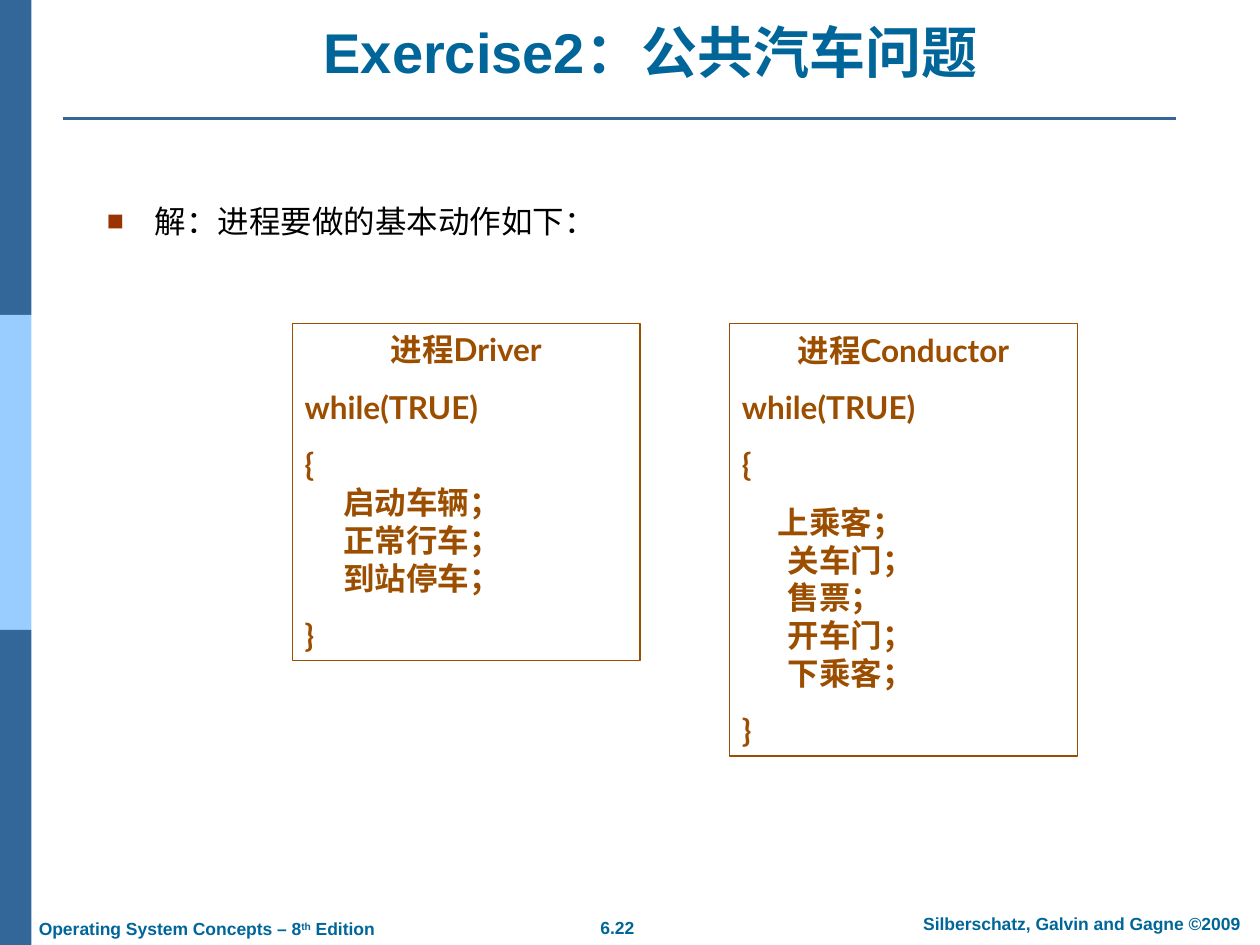
from lxml import etree
from pptx import Presentation
from pptx.dml.color import RGBColor
from pptx.enum.shapes import MSO_CONNECTOR, MSO_SHAPE
from pptx.enum.text import MSO_ANCHOR, MSO_AUTO_SIZE, PP_ALIGN
from pptx.oxml.ns import qn
from pptx.util import Inches, Pt

LEFT, CENTER = PP_ALIGN.LEFT, PP_ALIGN.CENTER
BOTTOM = MSO_ANCHOR.BOTTOM
FIXED, GROW = MSO_AUTO_SIZE.NONE, MSO_AUTO_SIZE.SHAPE_TO_FIT_TEXT
RECT, LINE = MSO_SHAPE.RECTANGLE, MSO_CONNECTOR.STRAIGHT
TEAL, NAVY, SKY, BROWN = "006699", "336699", "99CCFF", "9C4E00"

DRIVER = [
    "进程Driver",
    "while(TRUE)",
    "{\n　 启动车辆；\n　 正常行车；\n　 到站停车；",
    "}",
]
SELLER = [
    "进程Conductor",
    "while(TRUE)",
    "{",
    "     上乘客；\n　  关车门；\n  　售票；\n　  开车门；\n　  下乘客；",
    "}",
]


def paint(color, code):
    """Set a colour format from a hex string."""
    color.rgb = RGBColor.from_string(code)


def style(para, size, code, bold=True, face="Arial", align=LEFT):
    """Set the font and alignment of a paragraph."""
    para.alignment = align
    font = para.font
    font.size, font.bold, font.name = Pt(size), bold, face
    paint(font.color, code)


def add_bar(slide, top, code):
    """Add one block of the side band."""
    bar = slide.shapes.add_shape(RECT, 0, Inches(top), Inches(0.25), Inches(2.5))
    bar.shadow.inherit = False
    bar.fill.solid()
    paint(bar.fill.fore_color, code)
    bar.line.fill.background()


def add_rule(slide):
    """Add the line below the title."""
    rule = slide.shapes.add_connector(
        LINE, Inches(0.5), Inches(0.94), Inches(9.33), Inches(0.94))
    paint(rule.line.color, NAVY)
    rule.line.width = Pt(1.5)
    etree.SubElement(rule._element.spPr, qn("a:effectLst"))


def set_title(slide, text):
    """Place and fill the title."""
    title = slide.shapes.title
    title.left, title.top = Inches(0.75), Inches(0.25)
    title.width, title.height = Inches(8.83), Inches(0.47)
    frame = title.text_frame
    frame.text = text
    frame.auto_size, frame.vertical_anchor = FIXED, BOTTOM
    style(frame.paragraphs[0], 32, TEAL, align=CENTER)


def add_text(slide, left, top, width, height):
    """Add a text box and return its first paragraph."""
    box = slide.shapes.add_textbox(
        Inches(left), Inches(top), Inches(width), Inches(height))
    box.text_frame.word_wrap = True
    return box.text_frame.paragraphs[0]


def add_point(slide, text):
    """Add the bulleted line."""
    para = add_text(slide, 0.75, 1.55, 8.42, 0.71)
    para.text = text
    props = para._p.get_or_add_pPr()
    props.set("marL", str(Inches(0.38)))
    props.set("indent", str(-Inches(0.38)))
    tint = etree.SubElement(props, qn("a:buClr"))
    etree.SubElement(tint, qn("a:srgbClr"), val="993300")
    etree.SubElement(props, qn("a:buSzPct"), val="90000")
    etree.SubElement(props, qn("a:buFont"), typeface="Arial")
    etree.SubElement(props, qn("a:buChar"), char="■")
    style(para, 18, "000000", bold=False)


def add_code(slide, left, height, parts):
    """Add a framed process listing with a centred heading."""
    box = slide.shapes.add_shape(
        RECT, Inches(left), Inches(2.57), Inches(2.76), Inches(height))
    box.shadow.inherit = False
    box.fill.background()
    paint(box.line.color, BROWN)
    box.line.width = Pt(0.75)
    frame = box.text_frame
    frame.word_wrap, frame.auto_size = True, GROW
    for i, part in enumerate(parts):
        para = frame.add_paragraph() if i else frame.paragraphs[0]
        para.text = part
        if i:
            para.space_before = Pt(11.2)
        style(para, 18, BROWN, face="Lato", align=LEFT if i else CENTER)


def add_foot(slide):
    """Add the book name, page number and copyright line."""
    book = add_text(slide, 0.21, 7.24, 3.1, 0.27)
    for text in ("Operating System Concepts – 8", "th", " Edition"):
        run = book.add_run()
        run.text = text
    book.runs[1]._r.get_or_add_rPr().set("baseline", "30000")
    style(book, 10, TEAL)
    notes = (
        ("6.22", 4.41, 7.23, 0.98),
        ("Silberschatz, Galvin and Gagne ©2009", 7.1, 7.2, 2.97),
    )
    for text, left, top, width in notes:
        para = add_text(slide, left, top, width, 0.27)
        para.text = text
        style(para, 10, TEAL, align=CENTER)


def main():
    """Build and save the slide."""
    deck = Presentation()
    deck.slide_width, deck.slide_height = Inches(10), Inches(7.5)
    slide = deck.slides.add_slide(deck.slide_layouts[5])
    for i, code in enumerate((NAVY, SKY, NAVY)):
        add_bar(slide, 2.5 * i, code)
    add_rule(slide)
    set_title(slide, "Exercise2：公共汽车问题")
    add_point(slide, "解：进程要做的基本动作如下：")
    add_code(slide, 2.32, 2.67, DRIVER)
    add_code(slide, 5.79, 3.43, SELLER)
    add_foot(slide)
    deck.save("out.pptx")


if __name__ == "__main__":
    main()
